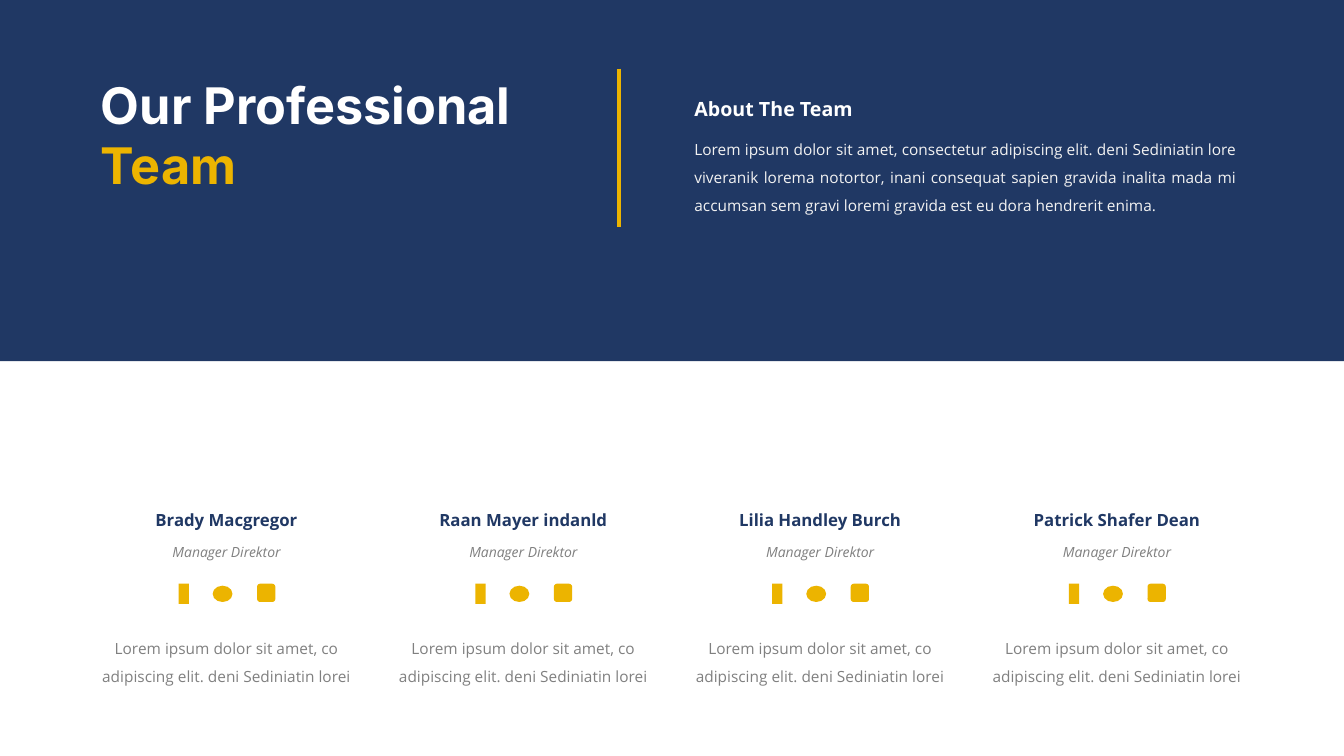
from dataclasses import dataclass

from lxml.etree import SubElement
from pptx import Presentation
from pptx.dml.color import RGBColor
from pptx.enum.shapes import MSO_CONNECTOR, MSO_SHAPE
from pptx.enum.text import MSO_ANCHOR, MSO_AUTO_SIZE, PP_ALIGN
from pptx.oxml.ns import qn
from pptx.util import Cm, Pt


@dataclass(frozen=True)
class Theme:
    navy: RGBColor = RGBColor.from_string("203864")
    gold: RGBColor = RGBColor.from_string("ECB400")
    white: RGBColor = RGBColor.from_string("FFFFFF")
    pale: RGBColor = RGBColor.from_string("F2F2F2")
    gray: RGBColor = RGBColor.from_string("808080")
    heading_font: str = "Inter"
    body_font: str = "Open Sans"
    title_size: Pt = Pt(36)
    heading_size: Pt = Pt(14)
    name_size: Pt = Pt(12)
    body_size: Pt = Pt(11)
    role_size: Pt = Pt(10)


theme = Theme()


def add_text(page, place, text, size, color, align, bold=False, italic=False, spacing=1.0, wrap=True):
    box = page.shapes.add_textbox(*[Cm(length) for length in place])
    frame = box.text_frame
    frame.word_wrap = wrap
    frame.auto_size = MSO_AUTO_SIZE.SHAPE_TO_FIT_TEXT
    frame.text = text
    para = frame.paragraphs[0]
    para.alignment = align
    para.line_spacing = spacing
    font = para.runs[0].font
    font.name, font.size, font.color.rgb = theme.body_font, size, color
    font.bold, font.italic = bold, italic


def add_filled(shapes, kind, place, color):
    shape = shapes.add_shape(kind, *[Cm(length) for length in place])
    shape.shadow.inherit = False
    shape.fill.solid()
    shape.fill.fore_color.rgb = color
    shape.line.fill.background()
    return shape


deck = Presentation()
deck.slide_width, deck.slide_height = Cm(33.87), Cm(19.05)
page = deck.slides.add_slide(deck.slide_layouts[5])

band = add_filled(page.shapes, MSO_SHAPE.RECTANGLE, (0, 0, 33.87, 9.1), theme.navy)

title = page.shapes.title
title.element.addprevious(band.element)
title.left, title.top, title.width, title.height = Cm(2.29), Cm(1.73), Cm(11.61), Cm(3.33)
title.text_frame.word_wrap = True
title.text_frame.auto_size = MSO_AUTO_SIZE.SHAPE_TO_FIT_TEXT
title.text_frame.vertical_anchor = MSO_ANCHOR.TOP
para = title.text_frame.paragraphs[0]
para.alignment = PP_ALIGN.LEFT
for words, color in (("Our Professional ", theme.white), ("Team", theme.gold)):
    span = para.add_run()
    span.text = words
    span.font.name, span.font.size, span.font.bold = theme.heading_font, theme.title_size, True
    span.font.color.rgb = color

divider = page.shapes.add_connector(MSO_CONNECTOR.STRAIGHT, Cm(15.6), Cm(1.73), Cm(15.6), Cm(5.72))
divider.line.color.rgb = theme.gold
divider.line.width = Pt(3)
SubElement(divider.element.spPr, qn("a:effectLst"))

add_text(page, (17.25, 2.31, 5.84, 0.86), "About The Team",
         theme.heading_size, theme.white, PP_ALIGN.JUSTIFY, bold=True)
add_text(page, (17.25, 3.18, 14.17, 2.29),
         "Lorem ipsum dolor sit amet, consectetur adipiscing elit. deni Sediniatin lore "
         "viveranik lorema notortor, inani consequat sapien gravida inalita mada mi "
         "accumsan sem gravi loremi gravida est eu dora hendrerit enima.",
         theme.body_size, theme.pale, PP_ALIGN.JUSTIFY, spacing=1.5)

members = ("Brady Macgregor", "Raan Mayer indanld", "Lilia Handley Burch", "Patrick Shafer Dean")
first_center, column_pitch = 5.71, 7.48
social_marks = (
    (MSO_SHAPE.RECTANGLE, -1.21, 14.71, 0.26, 0.51),
    (MSO_SHAPE.OVAL, -0.35, 14.76, 0.5, 0.41),
    (MSO_SHAPE.ROUNDED_RECTANGLE, 0.77, 14.71, 0.46, 0.46),
)

for column, member in enumerate(members):
    center = first_center + column * column_pitch
    add_text(page, (center - 2.88, 12.73, 5.76, 0.76), member,
             theme.name_size, theme.navy, PP_ALIGN.CENTER, bold=True)
    marks = page.shapes.add_group_shape()
    for kind, offset, top, width, height in social_marks:
        add_filled(marks.shapes, kind, (center + offset, top, width, height), theme.gold)
    add_text(page, (center - 1.7, 13.56, 3.4, 0.69), "Manager Direktor",
             theme.role_size, theme.gray, PP_ALIGN.CENTER, italic=True, wrap=False)
    add_text(page, (center - 3.48, 15.75, 6.96, 1.6),
             "Lorem ipsum dolor sit amet, co adipiscing elit. deni Sediniatin lorei",
             theme.body_size, theme.gray, PP_ALIGN.CENTER, spacing=1.5)

deck.save("out.pptx")
